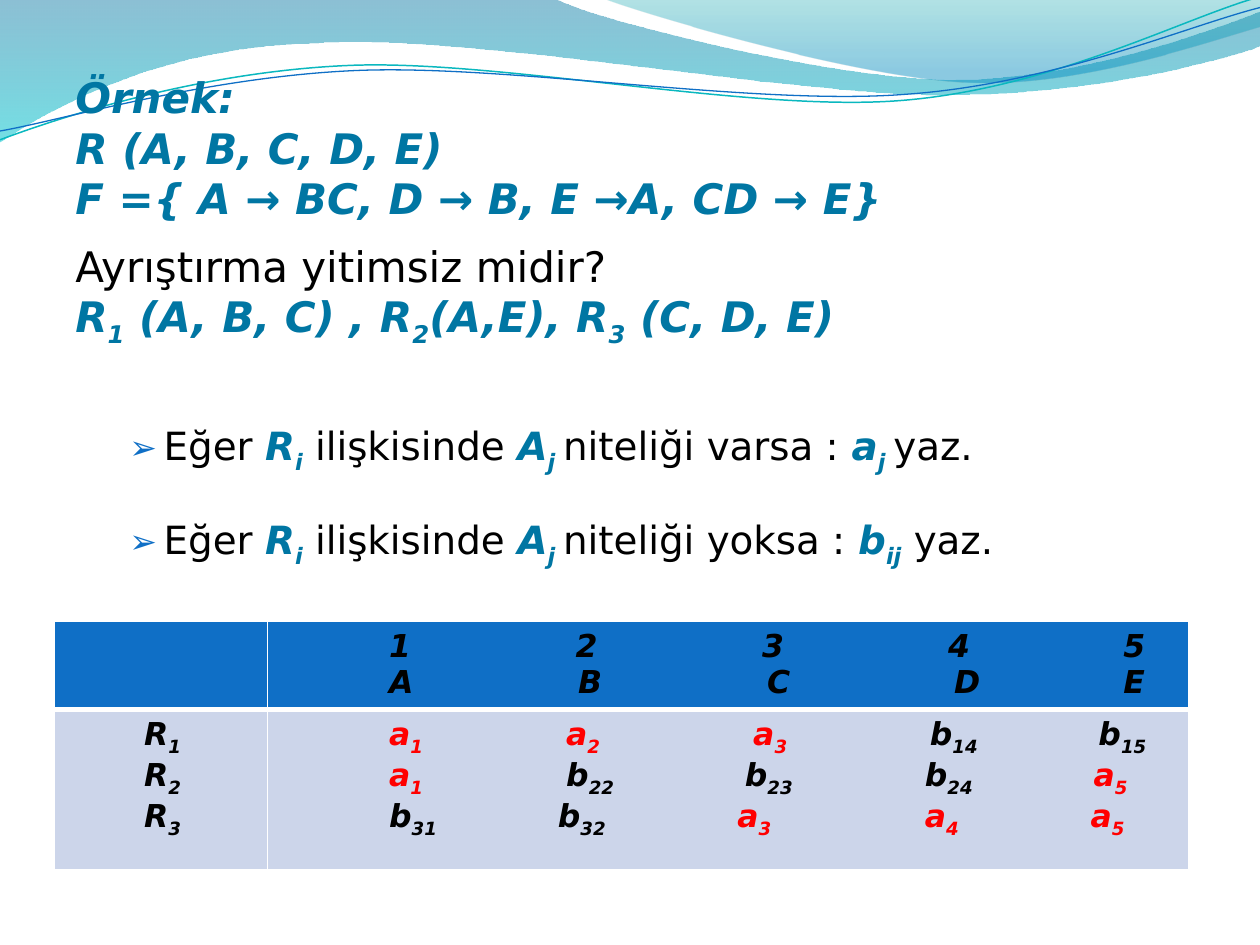
"""Build a slide on testing a lossless decomposition with a symbol table."""
from lxml import etree
from pptx import Presentation, util as u
from pptx.dml.color import RGBColor
from pptx.oxml import ns

FONT, BLUE, TEAL, RED, BLACK, WHITE = "DejaVu Sans", "0F6FC6", "0076A3", "FF0000", "000000", "FFFFFF"
rgb = RGBColor.from_string


def write(p, line, size, accent, heavy=False):
    """Write a line where * toggles the accent colour and _ toggles subscript."""
    p.font.name, p.font.size = FONT, u.Pt(size)
    if heavy:
        p.font.bold = p.font.italic = True
    for i, part in enumerate(line.split("*")):
        for j, piece in enumerate(part.split("_")):
            if not piece:
                continue
            r = p.add_run()
            r.text = piece
            r.font.color.rgb = rgb(accent if i % 2 else BLACK)
            if not heavy:
                r.font.bold = r.font.italic = bool(i % 2)
            if j % 2:
                r.font._element.set("baseline", "-25000")


def add(parent, tag, index=None, **attrs):
    """Add a DrawingML element to a parent, at the end unless an index is given."""
    el = etree.Element(ns.qn(tag), attrs)
    parent.insert(len(parent) if index is None else index, el)
    return el


prs = Presentation()
prs.slide_width, prs.slide_height = u.Cm(25.4), u.Cm(19.05)
s = prs.slides.add_slide(prs.slide_layouts[6])

waves = [
    ([(0, 0), (4.4, -0.01), (4.76, 0.17, 6.64, 0.63, 7.58, 0.63), (8.53, 0.63, 9.58, 0.26, 10, 0.09),
      (10.01, 0.36), (9.83, 0.44, 8.7, 0.76, 7.46, 0.75), (6.22, 0.75, 3.82, 0.28, 2.57, 0.34),
      (1.29, 0.36, 0.46, 0.83, -0.01, 1.13), (0, 0)], [(0, "0074A1", 45), (1, "00C6CF", 55)], None),
    ([(4.79, -0.01), (5.09, 0.11, 6.82, 0.62, 7.69, 0.65), (8.56, 0.69, 9.61, 0.32, 10, 0.21),
      (10, 0), (4.79, -0.01)], [(0, "00A1A9", 30), (0.8, "008BBF", 45)], None),
    ([(0, 1.11), (0.48, 0.93, 1.58, 0.57, 2.77, 0.52), (3.95, 0.47, 5.93, 0.89, 7.13, 0.8),
      (8.33, 0.71, 9.38, 0.15, 9.98, -0.02)], None, ("0AB8BF", 0.85)),
    ([(0, 1.04), (0.47, 0.96, 1.64, 0.61, 2.83, 0.56), (4.03, 0.51, 5.97, 0.84, 7.17, 0.75),
      (8.36, 0.67, 9.41, 0.21, 10, 0.06)], None, (BLUE, 0.75)),
]
for steps, stops, line in waves:
    emu = [(u.Cm(2.54 * x), u.Cm(2.54 * y))
           for step in steps for x, y in zip(step[::2], step[1::2])]
    fb = s.shapes.build_freeform(*emu[0])
    fb.add_line_segments(emu[1:], close=bool(stops))
    sp = fb.convert_to_shape()
    sp.shadow.inherit = False
    segments = iter(list(sp._element.iter(ns.qn("a:lnTo"))))
    for step in steps[1:]:
        segment = next(segments)
        if len(step) == 6:
            segment.tag = ns.qn("a:cubicBezTo")
            for _ in range(2):
                extra = next(segments)
                segment.append(extra[0])
                extra.getparent().remove(extra)
    if stops:
        sp.line.fill.background()
        sp.fill.gradient()
        sp.fill.gradient_angle = 270
        for stop, (pos, color, _) in zip(sp.fill.gradient_stops, stops):
            stop.position, stop.color.rgb = pos, rgb(color)
        for clr, (_, _, alpha) in zip(sp._element.spPr.iter(ns.qn("a:srgbClr")), stops):
            add(clr, "a:alpha", val=str(alpha * 1000))
    else:
        sp.fill.background()
        sp.line.color.rgb, sp.line.width = rgb(line[0]), u.Pt(line[1])

tf = s.shapes.add_textbox(u.Cm(1.27), u.Cm(1.32), u.Cm(22.86), u.Cm(10)).text_frame
tf.word_wrap = True
body = [
    ("*Örnek:*", 0, 0, False),
    ("*R (A, B, C, D, E)*", 0, 0, False),
    ("*F ={ A → BC, D → B, E →A, CD → E}*", 0, 10, False),
    ("Ayrıştırma yitimsiz midir?", 0, 0, False),
    ("*R_1_ (A, B, C) , R_2_(A,E), R_3_ (C, D, E)*", 0, 0, False),
    ("Eğer *R_i_* ilişkisinde *A_j _*niteliği varsa : *a_j _*yaz.", 40.5, 10, True),
    ("Eğer *R_i_* ilişkisinde *A_j _*niteliği yoksa : *b_ij_* yaz.", 12, 10, True),
]
for i, (line, before, after, bullet) in enumerate(body):
    p = tf.add_paragraph() if i else tf.paragraphs[0]
    p.line_spacing = 1.05 if bullet else 1.0
    p.space_before, p.space_after = u.Pt(before), u.Pt(after)
    if bullet:
        pPr = p._p.get_or_add_pPr()
        pPr.set("marL", str(u.Cm(1.78)))
        pPr.set("indent", str(u.Cm(-0.69)))
        add(add(pPr, "a:buClr"), "a:srgbClr", val=BLUE)
        add(pPr, "a:buSzPct", val="85000")
        add(pPr, "a:buFont", typeface=FONT)
        add(pPr, "a:buChar", char="➢")
    write(p, line, 22.2 if bullet else 24, TEAL)

tbl = s.shapes.add_table(2, 2, u.Cm(1.1), u.Cm(12.53), u.Cm(22.86), u.Cm(4.98)).table
for col, width in zip(tbl.columns, (4.29, 18.57)):
    col.width = u.Cm(width)
for row, height in zip(tbl.rows, (1.75, 3.23)):
    row.height = u.Cm(height)
cells = {
    (0, 0): [],
    (0, 1): [((2.2, 5.96, 9.72, 13.47, 17), "1 2 3 4 5"),
             ((2.2, 6.01, 9.82, 13.59, 17), "A B C D E")],
    (1, 0): [((1.55,), f"R_{n}_") for n in (1, 2, 3)],
    (1, 1): [((2.2, 5.77, 9.54, 13.1, 16.5), "*a_1_* *a_2_* *a_3_* b_14_ b_15_"),
             ((2.2, 5.77, 9.37, 13, 16.4), "*a_1_* b_22_ b_23_ b_24_ *a_5_*"),
             ((2.2, 5.6, 9.22, 13, 16.34), "b_31_ b_32_ *a_3_* *a_4_* *a_5_*")],
}
for (row, col), lines in cells.items():
    cell = tbl.cell(row, col)
    cell.fill.solid()
    cell.fill.fore_color.rgb = rgb("CCD5EA" if row else BLUE)
    tcPr = cell._tc.get_or_add_tcPr()
    for i, side in enumerate("LRTB"):
        width = 3 if (row, side) == (0, "B") else 1
        ln = add(tcPr, f"a:ln{side}", i, w=str(u.Pt(width)))
        add(add(ln, "a:solidFill"), "a:srgbClr", val=WHITE)
    for i, (tabs, entries) in enumerate(lines):
        p = cell.text_frame.add_paragraph() if i else cell.text_frame.paragraphs[0]
        tabLst = add(p._p.get_or_add_pPr(), "a:tabLst")
        for pos in tabs:
            add(tabLst, "a:tab", pos=str(u.Cm(pos)), algn="l")
        write(p, "".join("\t" + e for e in entries.split()), 18, RED, heavy=True)

prs.save("out.pptx")
